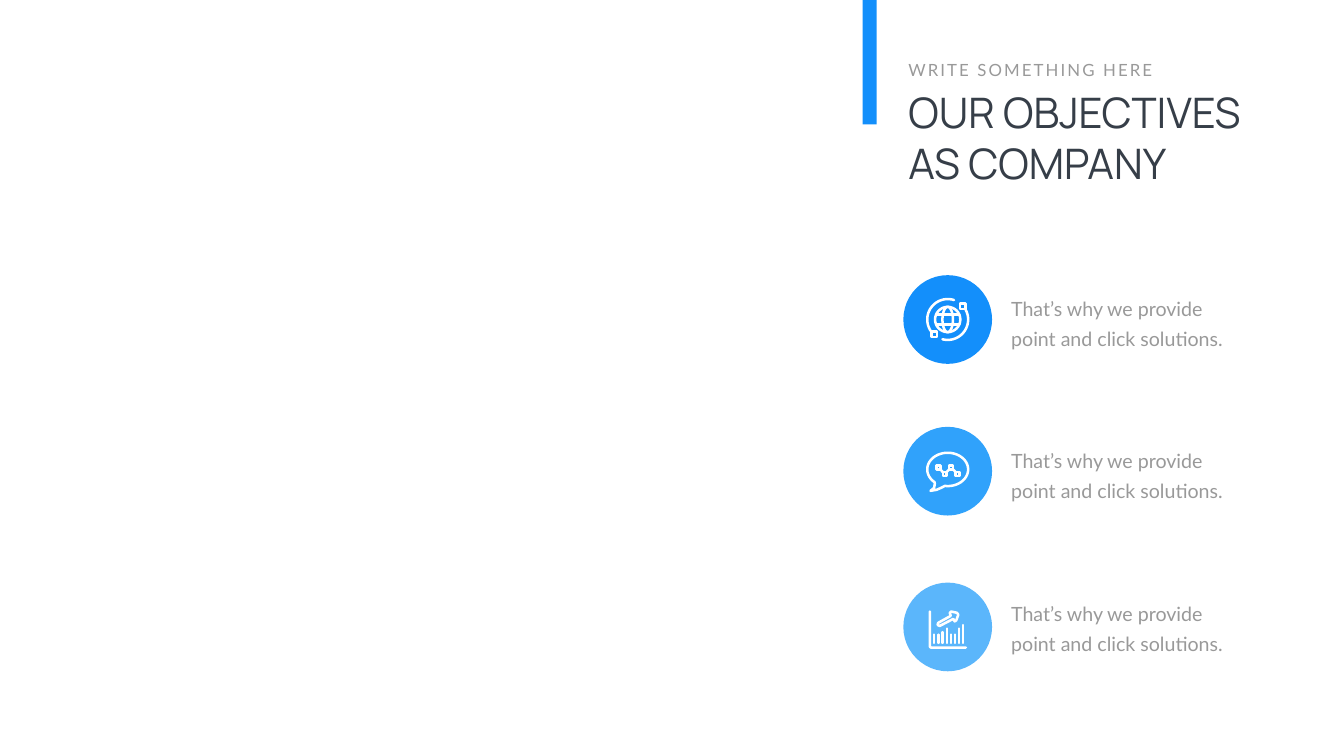
from dataclasses import dataclass
from math import cos, radians, sin

from lxml import etree
from pptx import Presentation
from pptx.dml.color import RGBColor
from pptx.enum import shapes, text
from pptx.oxml.ns import qn
from pptx.util import Pt

COLORS = {
    "blue": "138FFB", "mid_blue": "30A2FB", "light_blue": "5BB6FB",
    "heading": "363E48", "gray": "999999", "white": "FFFFFF",
}
CAPTION = "That’s why we provide point and click solutions."
DISC_LEFT, DISC_SIZE = 1290.2, 126.7
CAPTION_LEFT, CAPTION_WIDTH, CAPTION_HEIGHT = 1437.1, 331.2, 90
ICON_STROKE, BAR_STROKE = 3.6, 3.2

Point = tuple[float, float]


@dataclass(frozen=True)
class Contour:
    """A line through points, in points from the centre of a disc."""
    points: list[Point]
    closed: bool = False


@dataclass(frozen=True)
class Stroke:
    contours: list[Contour]
    width: float = ICON_STROKE


@dataclass(frozen=True)
class Objective:
    color: str
    disc_top: float
    caption_top: float
    icon: list[Stroke]


def rgb(name: str) -> RGBColor:
    return RGBColor.from_string(COLORS[name])


def arc(rx: float, ry: float, start: float, end: float, cy: float = 0) -> list[Point]:
    """Points along an ellipse, clockwise from start to end degrees."""
    steps = max(8, round((end - start) / 6))
    angles = [radians(start + (end - start) * i / steps) for i in range(steps + 1)]
    return [(rx * cos(a), cy + ry * sin(a)) for a in angles]


def square(cx: float, cy: float, half: float) -> Contour:
    return Contour([(cx - half, cy - half), (cx + half, cy - half),
                    (cx + half, cy + half), (cx - half, cy + half)], True)


def globe_icon() -> list[Stroke]:
    globe = [Contour(arc(rx, 18, 0, 360), True) for rx in (18, 7.5)]
    globe += [Contour([(-16.5, y), (16.5, y)]) for y in (-7.4, 7.4)]
    right_orbit = [Contour(arc(29.2, 29.2, -29, 105)), square(21.6, -18.7, 4)]
    left_orbit = [Contour(arc(29.2, 29.2, 146, 288)), square(-19.4, 20.9, 4)]
    return [Stroke(globe), Stroke(right_orbit), Stroke(left_orbit)]


def chat_icon() -> list[Stroke]:
    tail = [(-9.4, 23.8), (-15.8, 26.6), (-24.5, 28.1), (-19.4, 23.8), (-18.4, 18)]
    bubble = Contour(arc(29.2, 23.8, 130, 458, cy=-2.5) + tail, True)
    half = 2.8
    nodes = [(-13.4 + 9.1 * i, y) for i, y in enumerate((-5.4, 4, -5.4, 4))]
    trend = [square(x, y, half) for x, y in nodes]
    for (x1, y1), (x2, y2) in zip(nodes, nodes[1:]):
        drop = half if y2 > y1 else -half
        trend.append(Contour([(x1 + half, y1 + drop), (x2 - half, y2 - drop)]))
    return [Stroke([bubble]), Stroke(trend)]


def growth_icon() -> list[Stroke]:
    axes = Contour([(-25.6, -22), (-25.6, 27.5), (-25, 28.9), (-23.6, 29.5), (25.9, 29.5)])
    bar_tops = (10.8, 10.8, 7.2, 2.2, 10.8, 10.8, 2.2, -2.9)
    bars = [Stroke([Contour([(-19.1 + 5.87 * i, top), (-19.1 + 5.87 * i, 23)])], BAR_STROKE)
            for i, top in enumerate(bar_tops)]
    arrow = Contour([(-13.7, -5.8), (4.3, -15.8), (2.9, -20.2), (5, -22), (13.3, -20.2),
                     (15.1, -17.3), (12.2, -9.4), (10, -7.9), (7.9, -11.5),
                     (-11.5, -1.4), (-14.4, -2.9)], True)
    return [Stroke([axes]), *bars, Stroke([arrow])]


OBJECTIVES = [
    Objective("blue", 393.1, 411.1, globe_icon()),
    Objective("mid_blue", 609.8, 628.6, chat_icon()),
    Objective("light_blue", 832.3, 846.7, growth_icon()),
]


def add_solid(slide, kind, left: float, top: float, width: float, height: float, color: str):
    solid = slide.shapes.add_shape(kind, Pt(left), Pt(top), Pt(width), Pt(height))
    solid.shadow.inherit = False
    solid.fill.solid()
    solid.fill.fore_color.rgb = rgb(color)
    solid.line.fill.background()


def add_stroke(slide, stroke: Stroke, cx: float, cy: float) -> None:
    """Draw all contours as one white outline with round caps and joins."""
    builder = None
    for contour in stroke.contours:
        start, *rest = [(Pt(cx + x), Pt(cy + y)) for x, y in contour.points]
        if builder is None:
            builder = slide.shapes.build_freeform(*start, scale=1.0)
        else:
            builder.move_to(*start)
        builder.add_line_segments(rest, close=contour.closed)
    outline = builder.convert_to_shape()
    outline.shadow.inherit = False
    outline.fill.background()
    outline.line.color.rgb = rgb("white")
    outline.line.width = Pt(stroke.width)
    ln = outline.line._get_or_add_ln()
    ln.set("cap", "rnd")
    etree.SubElement(ln, qn("a:round"))


def write(box, words: str, *, size: float, font: str, color: str, wrap: bool = True,
          line_spacing: float | None = None, tracking: float | None = None) -> None:
    frame = box.text_frame
    frame.word_wrap = wrap
    frame.auto_size = text.MSO_AUTO_SIZE.NONE
    frame.vertical_anchor = text.MSO_ANCHOR.TOP
    paragraph = frame.paragraphs[0]
    paragraph.alignment = text.PP_ALIGN.LEFT
    if line_spacing:
        paragraph.line_spacing = Pt(line_spacing)
    run = paragraph.add_run()
    run.text = words
    run.font.size = Pt(size)
    run.font.name = font
    run.font.color.rgb = rgb(color)
    if tracking:
        run._r.get_or_add_rPr().set("spc", str(round(tracking * 100)))


def add_text(slide, words: str, left: float, top: float, width: float, height: float, **style):
    box = slide.shapes.add_textbox(Pt(left), Pt(top), Pt(width), Pt(height))
    write(box, words, **style)


def add_objective(slide, objective: Objective) -> None:
    add_solid(slide, shapes.MSO_SHAPE.OVAL, DISC_LEFT, objective.disc_top,
              DISC_SIZE, DISC_SIZE, objective.color)
    for stroke in objective.icon:
        add_stroke(slide, stroke, DISC_LEFT + DISC_SIZE / 2, objective.disc_top + DISC_SIZE / 2)
    add_text(slide, CAPTION, CAPTION_LEFT, objective.caption_top, CAPTION_WIDTH, CAPTION_HEIGHT,
             size=28, font="Lato", color="gray", line_spacing=43)


def main() -> None:
    deck = Presentation()
    deck.slide_width, deck.slide_height = Pt(1919.5), Pt(1080)
    slide = deck.slides.add_slide(deck.slide_layouts.get_by_name("Title Only"))

    heading = slide.shapes.title
    heading.left, heading.top = Pt(1290.2), Pt(120.2)
    heading.width, heading.height = Pt(558.7), Pt(152.6)
    write(heading, "OUR OBJECTIVES AS COMPANY", size=60, font="Manrope", color="heading")
    add_text(slide, "WRITE SOMETHING HERE", 1290.2, 81.4, 370, 36,
             size=24, font="Lato", color="gray", wrap=False, tracking=3)
    add_solid(slide, shapes.MSO_SHAPE.RECTANGLE, 1231.9, 0, 20.2, 177.8, "blue")

    for objective in OBJECTIVES:
        add_objective(slide, objective)
    deck.save("out.pptx")


if __name__ == "__main__":
    main()
